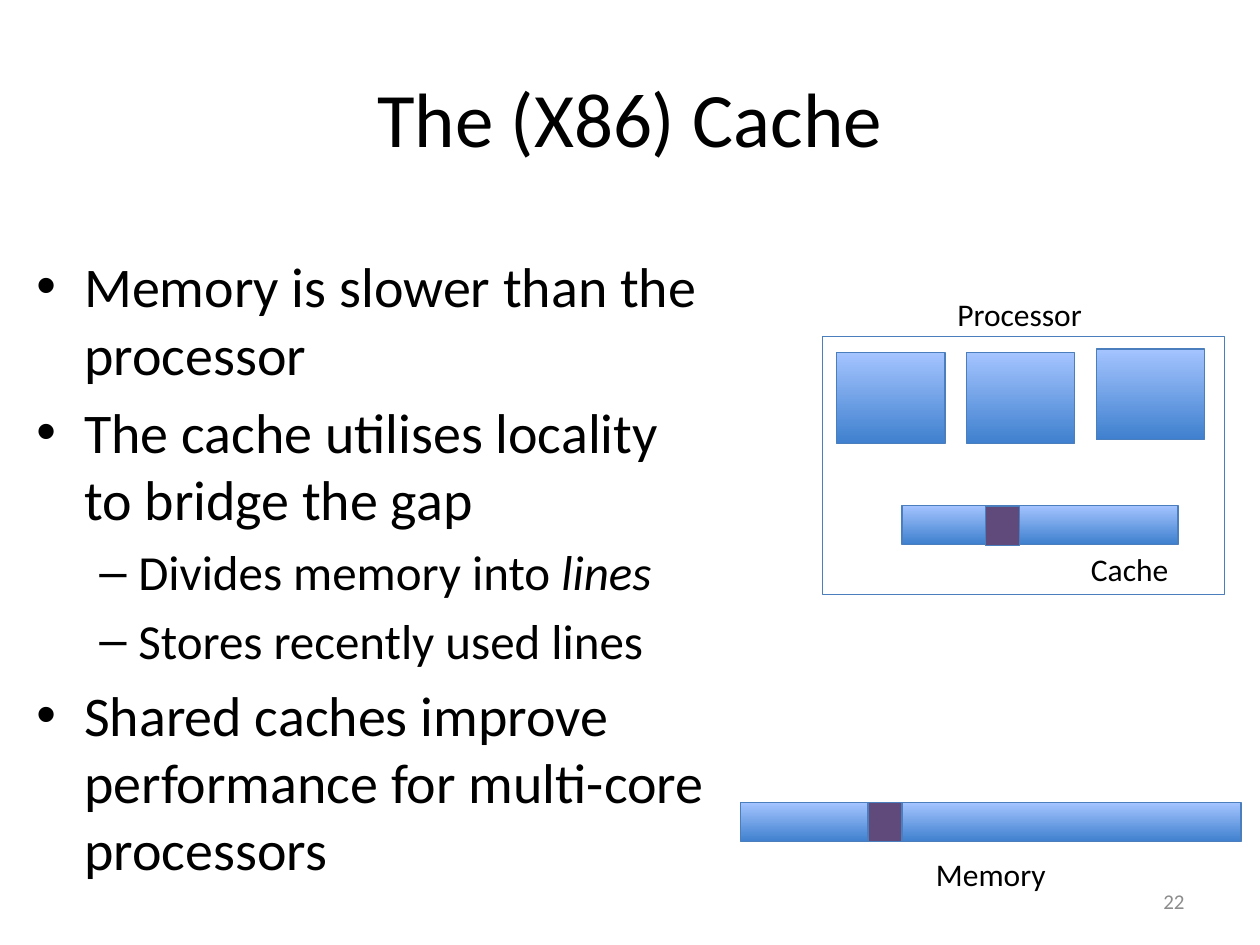
from lxml.etree import SubElement as Sub
from pptx import Presentation
from pptx.dml.color import RGBColor
from pptx.enum.shapes import MSO_SHAPE as Shape
from pptx.enum.text import MSO_ANCHOR as Anchor, PP_ALIGN as Align
from pptx.oxml.ns import qn
from pptx.util import Inches, Pt

color = RGBColor.from_string

deck = Presentation()
deck.slide_width, deck.slide_height = Inches(10), Inches(7.5)
slide = deck.slides.add_slide(deck.slide_layouts[6])


def add_text(lines, x, y, w, h, size, align=Align.LEFT, anchor=Anchor.TOP,
             wrap=True, ink="000000"):
    box = slide.shapes.add_textbox(Inches(x), Inches(y), Inches(w), Inches(h))
    frame = box.text_frame
    frame.text = lines
    frame.word_wrap = wrap
    frame.vertical_anchor = anchor
    for para in frame.paragraphs:
        para.alignment = align
        font = para.runs[0].font
        font.name, font.size = "Calibri", Pt(size)
        font.color.rgb = color(ink)
    return frame


def add_rect(x, y, w, h, kind):
    """Draw a box; kind is "grad", "none" or a fill colour."""
    rect = slide.shapes.add_shape(Shape.RECTANGLE, Inches(x), Inches(y),
                                  Inches(w), Inches(h))
    rect.shadow.inherit = False
    rect.line.color.rgb = color("4B7EBC")
    rect.line.width = Pt(0.75)
    fill = rect.fill
    if kind == "none":
        fill.background()
    elif kind == "grad":
        fill.gradient()
        fill.gradient_angle = 90
        for stop, tone in zip(fill.gradient_stops, ("3F80CE", "A4C4FF")):
            stop.color.rgb = color(tone)
    else:
        fill.solid()
        fill.fore_color.rgb = color(kind)


add_text("The (X86) Cache", 0.5, 0.3, 9, 1.25, 44, Align.CENTER, Anchor.MIDDLE)

# Bullets: level and text
points = [
    (0, "Memory is slower than the processor"),
    (0, "The cache utilises locality to bridge the gap"),
    (1, "Divides memory into "),
    (1, "Stores recently used lines"),
    (0, "Shared caches improve performance for multi-core processors"),
]
# Size, left margin, indent and mark of each level
levels = [(32, 0.38, -0.38, "•"), (28, 0.81, -0.31, "–")]
body = add_text("\n".join(text for _, text in points),
                0.19, 1.95, 5.52, 4.95, 32)
for para, (level, _) in zip(body.paragraphs, points):
    size, left, indent, mark = levels[level]
    para.level = level
    para.space_before = Pt(size * 0.2)
    para.runs[0].font.size = Pt(size)
    props = para._p.get_or_add_pPr()
    props.set("marL", str(Inches(left)))
    props.set("indent", str(Inches(indent)))
    Sub(props, qn("a:buFont"), typeface="Arial")
    Sub(props, qn("a:buChar"), char=mark)

term = body.paragraphs[2].add_run()
term.text = "lines"
term.font.name, term.font.size, term.font.italic = "Calibri", Pt(28), True
term.font.color.rgb = color("000000")

# Processor with its cores
add_rect(6.53, 2.67, 3.19, 2.05, "none")
for x, y in [(6.64, 2.8), (7.67, 2.8), (8.7, 2.77)]:
    add_rect(x, y, 0.86, 0.72, "grad")

# Cache and memory bars, each with one line marked
add_rect(7.16, 4.01, 2.19, 0.31, "grad")
add_rect(7.82, 4.02, 0.27, 0.31, "604A7B")
add_rect(5.88, 6.37, 3.97, 0.31, "grad")
add_rect(6.89, 6.37, 0.27, 0.31, "604A7B")

for label, x, y, w in [("Processor", 7.5, 2.29, 1.2),
                       ("Cache", 8.56, 4.32, 0.82),
                       ("Memory", 7.33, 6.74, 1.08)]:
    add_text(label, x, y, w, 0.4, 18, wrap=False)

add_text("22", 7.17, 6.95, 2.33, 0.4, 12, Align.RIGHT, Anchor.MIDDLE,
         ink="8C8C8C")

deck.save("out.pptx")
